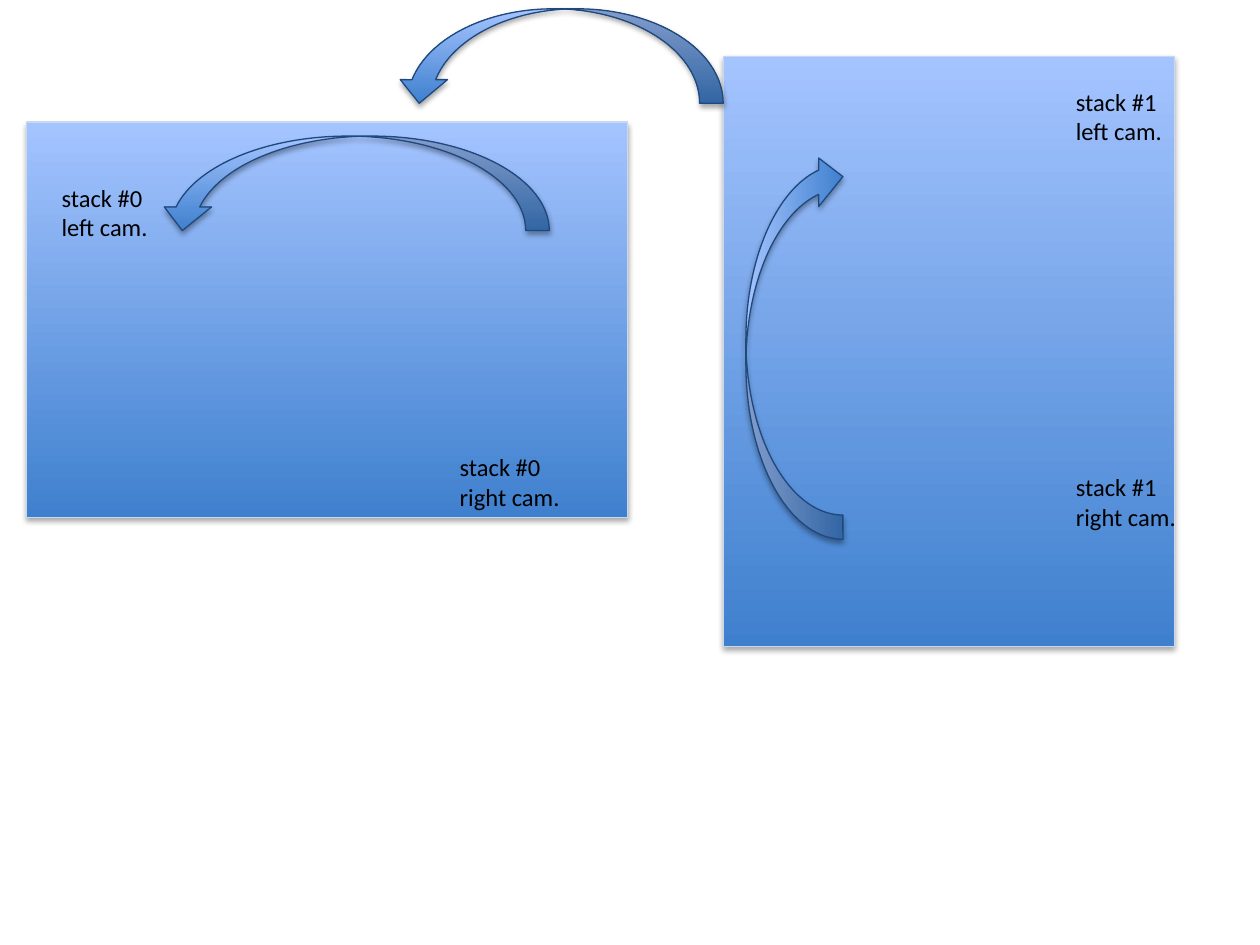
"""Draw two camera stacks with curved arrows from right to left camera."""
from lxml.etree import SubElement
from pptx import Presentation
from pptx.dml.color import RGBColor
from pptx.enum.shapes import MSO_SHAPE
from pptx.enum.text import MSO_AUTO_SIZE
from pptx.oxml.ns import qn
from pptx.util import Inches, Pt

deck = Presentation()
deck.slide_width, deck.slide_height = Inches(10), Inches(7.5)
slide = deck.slides.add_slide(deck.slide_layouts[6])


def hue(code):
    return RGBColor.from_string(code)


def place(left, top, wide, high):
    across, down = deck.slide_width / 100, deck.slide_height / 100
    return [round(n) for n in (left * across, top * down, wide * across, high * down)]


rect, arrow = MSO_SHAPE.RECTANGLE, MSO_SHAPE.CURVED_DOWN_ARROW
pale, navy = "C6D9F1", "1F497D"
panels = [
    (rect, (57.4, 6, 35.8, 62.4), pale, "", 0),
    (rect, (2.1, 12.93, 47.7, 41.87), pale, "", 0),
]
arrows = [
    (arrow, (12.6, 14.4, 31, 10), navy, "H", 0),
    (arrow, (47.7, 31.47, 30.7, 10.27), navy, "HV", 90),
    (arrow, (31.4, 0.93, 26, 10), navy, "H", 0),
]
labels = [
    (84.4, 49.33, 1, "right"),
    (84.4, 8.53, 1, "left"),
    (3.9, 18.67, 0, "left"),
    (35.5, 47.2, 0, "right"),
]

for group in (panels, labels, arrows):
    if group is labels:
        for left, top, stack, side in labels:
            box = slide.shapes.add_textbox(*place(left, top, 14.3, 7.6))
            frame = box.text_frame
            frame.word_wrap = True
            frame.auto_size = MSO_AUTO_SIZE.SHAPE_TO_FIT_TEXT
            frame.text = f"stack #{stack}\n{side} cam."
            for line in frame.paragraphs:
                line.font.name, line.font.size = "Calibri", Pt(14)
                line.font.color.rgb = hue("000000")
        continue
    for kind, spot, edge, flips, turn in group:
        shape = slide.shapes.add_shape(kind, *place(*spot))
        shape.rotation = turn
        for axis in flips:
            shape.element.spPr.xfrm.set("flip" + axis, "1")
        shape.fill.gradient()
        shape.fill.gradient_angle = 90
        for stop, code in zip(shape.fill.gradient_stops, ("3F80CE", "A4C4FF")):
            stop.color.rgb = hue(code)
        shape.line.color.rgb = hue(edge)
        shape.line.width = Pt(0.75)
        shape.shadow.inherit = False
        glow = shape.element.spPr.find(qn("a:effectLst"))
        shade = SubElement(glow, qn("a:outerShdw"), blurRad=str(Pt(3.1)),
                           dist=str(Pt(1.8)), dir="5400000", rotWithShape="0")
        tint = SubElement(shade, qn("a:srgbClr"), val="000000")
        SubElement(tint, qn("a:alpha"), val="35000")

deck.save("out.pptx")
